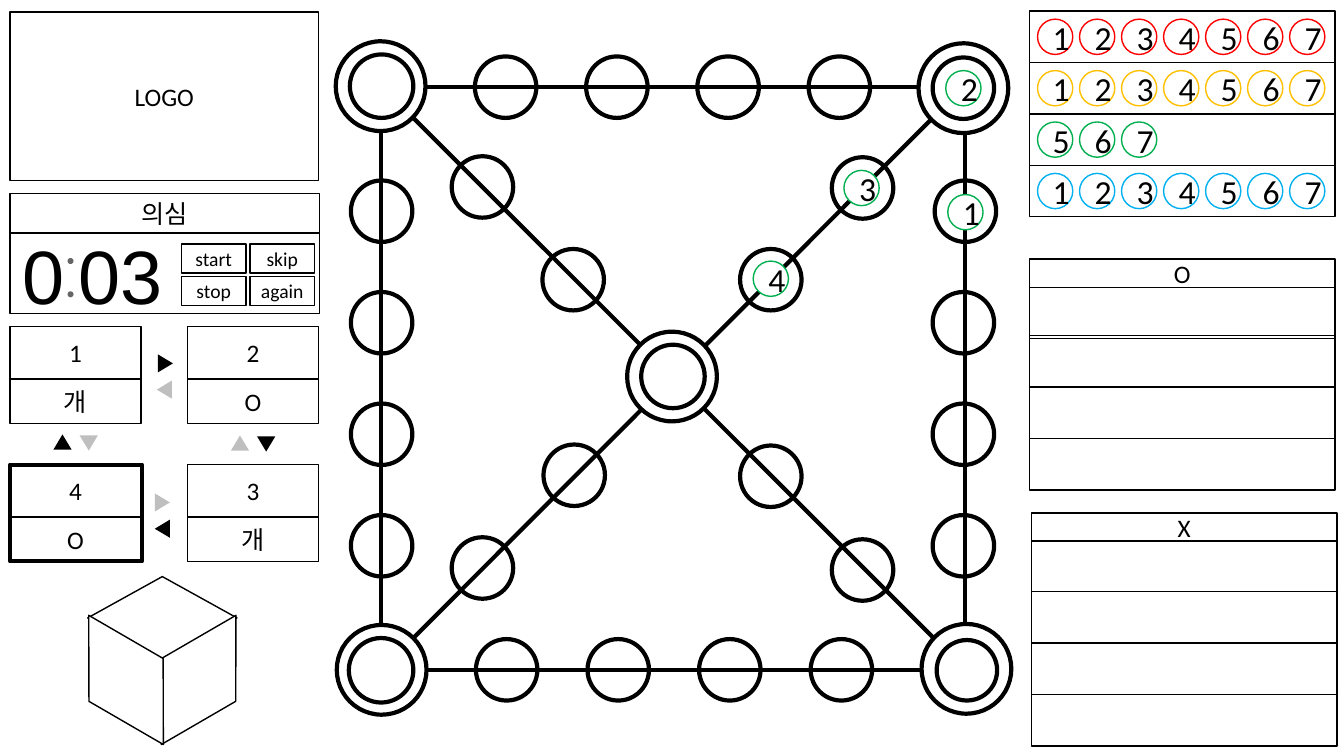
from pptx import Presentation
from pptx.dml.color import RGBColor
from pptx.enum.shapes import MSO_CONNECTOR, MSO_SHAPE as Form
from pptx.enum.text import MSO_ANCHOR, PP_ALIGN
from pptx.oxml.ns import qn
from pptx.util import Inches, Pt
from lxml import etree

BLACK = RGBColor(0x00, 0x00, 0x00)
WHITE = RGBColor(0xFF, 0xFF, 0xFF)
GREY = RGBColor(0xBF, 0xBF, 0xBF)
RED = RGBColor(0xFF, 0x00, 0x00)
AMBER = RGBColor(0xFF, 0xC0, 0x00)
GREEN = RGBColor(0x00, 0xB0, 0x50)
BLUE = RGBColor(0x00, 0xB0, 0xF0)

STOP = 0.61
TOKEN = 0.35
ROW = 0.51
PANEL_WIDTH = 3.03


def spread(first, last, count):
    """Evenly spaced values from first to last."""
    return [first + (last - first) * step / (count - 1) for step in range(count)]


def write(box, text, size, font="Calibri"):
    frame = box.text_frame
    frame.text = text
    frame.word_wrap = True
    frame.vertical_anchor = MSO_ANCHOR.MIDDLE
    para = frame.paragraphs[0]
    para.alignment = PP_ALIGN.CENTER
    span = para.runs[0]
    span.font.name = font
    span.font.size = Pt(size)
    span.font.color.rgb = BLACK


def add_form(page, form, left, top, width, height, fill=None, line=BLACK,
             weight=1, text="", size=18, turn=0, alpha=None):
    box = page.shapes.add_shape(form, Inches(left), Inches(top),
                                Inches(width), Inches(height))
    box.shadow.inherit = False
    box.rotation = turn
    if fill is None:
        box.fill.background()
    else:
        box.fill.solid()
        box.fill.fore_color.rgb = fill
    if alpha is not None:
        color = box.fill._xPr.find(qn("a:solidFill"))[0]
        etree.SubElement(color, qn("a:alpha"), val=str(alpha * 1000))
    if line is None:
        box.line.fill.background()
    else:
        box.line.color.rgb = line
        box.line.width = Pt(weight)
    if text:
        write(box, text, size)
    return box


def add_path(page, start, end):
    path = page.shapes.add_connector(
        MSO_CONNECTOR.STRAIGHT, *(Inches(value) for value in start + end))
    path.line.color.rgb = BLACK
    path.line.width = Pt(3)
    etree.SubElement(path._element.spPr, qn("a:effectLst"))


def add_ring(page, left, top, size, fill=None):
    add_form(page, Form.OVAL, left, top, size, size, fill, weight=3)


def add_token(page, left, top, number, color, alpha=None):
    add_form(page, Form.OVAL, left, top, TOKEN, TOKEN, WHITE, color,
             text=str(number), size=24, alpha=alpha)


def add_rows(page, left, tops):
    for top in tops:
        add_form(page, Form.RECTANGLE, left, top, PANEL_WIDTH, ROW)


def add_board(page):
    # Outline and diagonals
    add_form(page, Form.RECTANGLE, 3.78, 0.86, 5.79, 5.79, weight=3)
    add_path(page, (9.57, 0.85), (3.77, 6.66))
    add_path(page, (3.79, 0.86), (9.59, 6.66))

    # Corner and centre stations: outer ring, then inner ring
    for left, top in [(9.14, 6.19), (9.11, 0.43), (3.34, 6.2),
                      (6.22, 3.29), (3.33, 0.41)]:
        add_ring(page, left, top, 0.89, WHITE)
    for left, top, size in [(3.47, 0.54, 0.63), (3.46, 6.33, 0.64),
                            (9.29, 6.35, 0.6), (9.25, 0.57, 0.61),
                            (6.36, 3.42, 0.63)]:
        add_ring(page, left, top, size)

    # Four stops on each side
    for left in spread(4.71, 8.02, 4):
        add_ring(page, left, 0.56, STOP)
    for left in spread(4.72, 8.04, 4):
        add_ring(page, left, 6.34, STOP)
    for row, top in enumerate(spread(1.79, 5.11, 4)):
        add_ring(page, 3.48, top, STOP)
        add_ring(page, 9.27 if row == 0 else 9.25, top, STOP)

    # Two stops on each half diagonal
    for outer, inner in [((4.48, 1.55), (5.38, 2.47)), ((8.25, 1.56), (7.34, 2.47)),
                         ((4.48, 5.33), (5.39, 4.41)), ((8.25, 5.35), (7.34, 4.42))]:
        add_ring(page, *outer, STOP)
        add_ring(page, *inner, STOP)


def add_answer_panel(page, left, top, title, row_tops):
    add_form(page, Form.RECTANGLE, left, top, PANEL_WIDTH, 0.28, text=title)
    add_rows(page, left, row_tops)


def add_tokens(page):
    add_rows(page, 10.21, spread(0.11, 1.64, 4))
    columns = spread(10.29, 12.79, 7)
    waiting = [(RED, range(1, 8)), (AMBER, range(1, 8)),
               (GREEN, range(5, 8)), (BLUE, range(1, 8))]
    for top, (color, numbers) in zip(spread(0.19, 1.72, 4), waiting):
        for left, number in zip(columns, numbers):
            faded = 50 if color == RED and number == 1 else None
            add_token(page, left, top, number, color, faded)
    # Tokens already on the board
    played = [(9.4, 1.93), (9.38, 0.7), (8.37, 1.69), (7.47, 2.59)]
    for number, (left, top) in enumerate(played, 1):
        add_token(page, left, top, number, GREEN)


def add_timer(page):
    add_form(page, Form.RECTANGLE, 0.1, 2.05, 3.07, 1.06)
    for left, top, width, height, digits in [(0.12, 2.29, 0.55, 0.87, "0"),
                                             (0.56, 2.27, 1.27, 0.9, "03")]:
        box = page.shapes.add_textbox(Inches(left), Inches(top),
                                      Inches(width), Inches(height))
        write(box, digits, 54, "Arial")
    for top in (2.56, 2.89):
        add_form(page, Form.OVAL, 0.67, top, 0.06, 0.06, BLACK, None, alpha=60)
    buttons = [("start", "skip"), ("stop", "again")]
    for top, labels in zip((2.42, 2.74), buttons):
        for left, label in zip((1.8, 2.48), labels):
            add_form(page, Form.RECTANGLE, left, top, 0.64, 0.29, WHITE,
                     text=label, size=14)
    add_form(page, Form.RECTANGLE, 0.1, 1.92, 3.07, 0.39, WHITE, text="의심")


def add_players(page):
    for left, top, number, answer in [(0.1, 3.24, "1", "개"), (1.86, 3.24, "2", "O"),
                                      (1.86, 4.61, "3", "개"), (0.1, 4.61, "4", "O")]:
        add_form(page, Form.RECTANGLE, left, top, 1.3, 0.52, WHITE, text=number)
        add_form(page, Form.RECTANGLE, left, top + 0.52, 1.3, 0.44, WHITE, text=answer)
    # Highlight of the current player
    add_form(page, Form.RECTANGLE, 0.1, 4.61, 1.31, 0.96, weight=3)
    # Turn order arrows
    for left, top, turn, color in [
            (1.55, 3.53, 90, BLACK), (1.54, 3.79, 270, GREY),
            (1.52, 5.17, 270, BLACK), (1.52, 4.91, 90, GREY),
            (0.53, 4.31, 0, BLACK), (0.79, 4.32, 180, GREY),
            (2.55, 4.33, 180, BLACK), (2.29, 4.32, 0, GREY)]:
        add_form(page, Form.ISOSCELES_TRIANGLE, left, top, 0.18, 0.15, color,
                 None, turn=turn)


def add_cube(page):
    for left, top, height, turn in [(0.87, 5.72, 0.82, 0), (1.23, 6.32, 0.85, 120),
                                    (0.51, 6.32, 0.85, 240)]:
        add_form(page, Form.DIAMOND, left, top, 1.48, height, WHITE, turn=turn)


def main():
    deck = Presentation()
    deck.slide_width = Inches(13.33)
    deck.slide_height = Inches(7.5)
    page = deck.slides.add_slide(deck.slide_layouts[6])

    add_board(page)
    add_answer_panel(page, 10.21, 2.57, "O", [2.85] + spread(3.33, 4.35, 3))
    add_answer_panel(page, 10.23, 5.09, "X", spread(5.36, 6.89, 4))
    add_form(page, Form.RECTANGLE, 0.1, 0.12, 3.06, 1.67, text="LOGO")
    add_tokens(page)
    add_timer(page)
    add_cube(page)
    add_players(page)

    deck.save("out.pptx")


if __name__ == "__main__":
    main()
